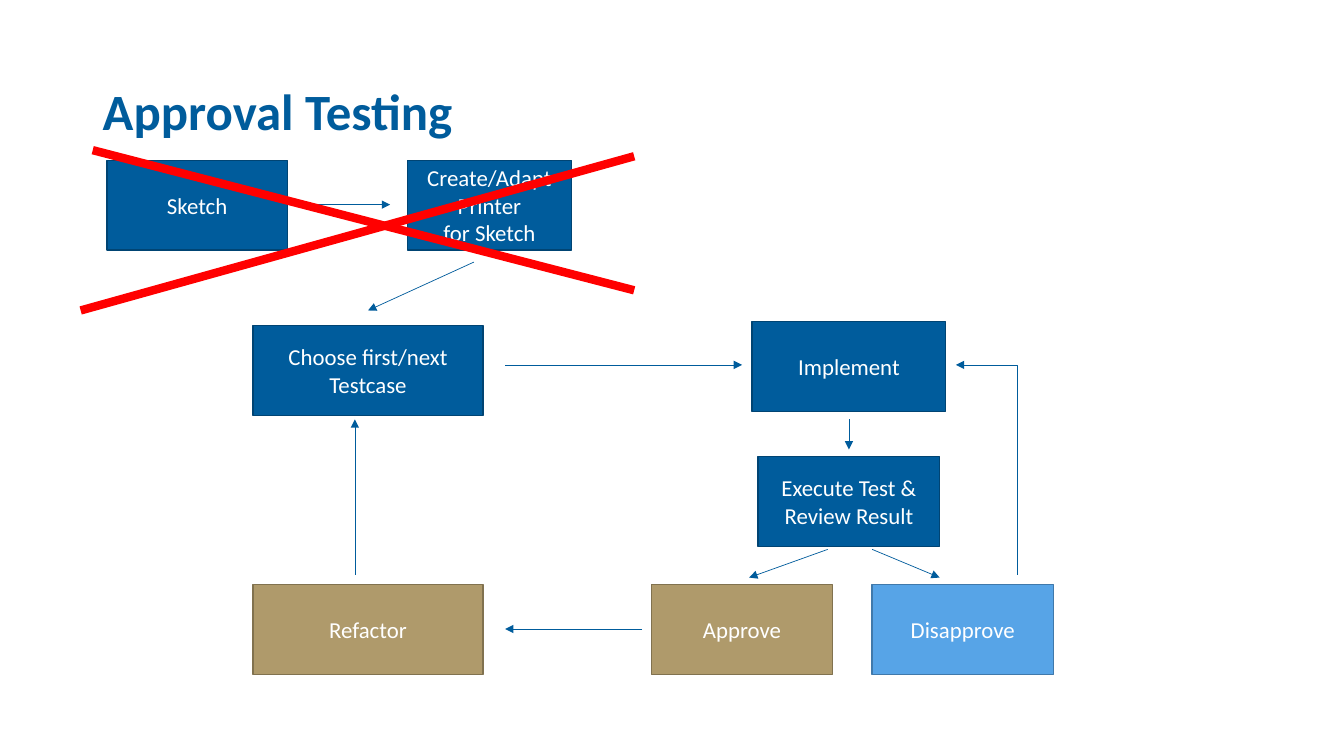
"""Build the Approval Testing workflow slide."""
from lxml import etree
from pptx import Presentation
from pptx.dml.color import RGBColor
from pptx.enum.shapes import MSO_CONNECTOR, MSO_SHAPE
from pptx.enum.text import MSO_ANCHOR, PP_ALIGN
from pptx.oxml.ns import qn
from pptx.util import Inches, Pt

RECTANGLE = MSO_SHAPE.RECTANGLE
STRAIGHT, ELBOW = MSO_CONNECTOR.STRAIGHT, MSO_CONNECTOR.ELBOW
MIDDLE, CENTER = MSO_ANCHOR.MIDDLE, PP_ALIGN.CENTER

FONT = "Calibri"
COLORS = {
    "blue": "005C9C", "blue edge": "004473",
    "sand": "AF9A6B", "sand edge": "81724F",
    "sky": "57A4E7", "sky edge": "4079AB",
    "white": "FFFFFF", "red": "FF0000",
}
TITLE = "Approval Testing"
STEP_HEIGHT = 0.89
SKETCH_TOP, RESULT_TOP = 1.59, 5.8
STEPS = [
    ("Sketch", 1.06, SKETCH_TOP, 1.79, "blue"),
    ("Create/Adapt Printer\nfor Sketch", 4.04, SKETCH_TOP, 1.63, "blue"),
    ("Choose first/next Testcase", 2.51, 3.23, 2.28, "blue"),
    ("Implement", 7.46, 3.19, 1.92, "blue"),
    ("Execute Test & Review Result", 7.52, 4.53, 1.8, "blue"),
    ("Refactor", 2.51, RESULT_TOP, 2.28, "sand"),
    ("Approve", 6.46, RESULT_TOP, 1.8, "sand"),
    ("Disapprove", 8.65, RESULT_TOP, 1.8, "sky"),
]
FLOWS = [
    ((3.05, 2.03), (3.87, 2.03)),
    ((4.7, 2.6), (3.65, 3.08)),
    ((5.01, 3.62), (7.36, 3.62)),
    ((8.42, 4.16), (8.42, 4.46)),
    ((8.21, 5.45), (7.43, 5.73)),
    ((8.65, 5.45), (9.32, 5.73)),
    ((6.37, 6.24), (5.01, 6.24)),
    ((3.52, 5.7), (3.52, 4.16)),
]
RETRY_FLOW = ((9.48, 3.62), (10.09, 5.7))
CROSS_OUT = [((0.8, 3.08), (6.29, 1.55)), ((0.92, 1.49), (6.29, 2.88))]


def color(name):
    return RGBColor.from_string(COLORS[name])


def style_text(paragraph, size, color_name, bold=False):
    for run in paragraph.runs:
        run.font.name, run.font.size, run.font.bold = FONT, Pt(size), bold
        run.font.color.rgb = color(color_name)


def add_step(slide, label, left, top, width, tone):
    step = slide.shapes.add_shape(RECTANGLE, Inches(left), Inches(top),
                                  Inches(width), Inches(STEP_HEIGHT))
    step.shadow.inherit = False
    step.fill.solid()
    step.fill.fore_color.rgb = color(tone)
    step.line.color.rgb = color(tone + " edge")
    step.line.width = Pt(1)
    frame = step.text_frame
    frame.text = label
    frame.word_wrap = True
    frame.vertical_anchor = MIDDLE
    for paragraph in frame.paragraphs:
        paragraph.alignment = CENTER
        style_text(paragraph, 16.3, "white")


def add_line(slide, start, end, tone="blue", width=0.5, arrow=None, kind=STRAIGHT):
    line = slide.shapes.add_connector(kind, *map(Inches, start + end))
    line.line.color.rgb = color(tone)
    line.line.width = Pt(width)
    properties = line._element.spPr
    etree.SubElement(properties, qn("a:effectLst"))
    if arrow:
        etree.SubElement(properties.find(qn("a:ln")), qn(arrow), type="triangle")
    return line


presentation = Presentation()
presentation.slide_width, presentation.slide_height = Inches(13.33), Inches(7.5)
slide = presentation.slides.add_slide(presentation.slide_layouts[6])

heading = slide.shapes.add_textbox(Inches(0.92), Inches(0.81), Inches(11.32), Inches(0.65))
heading.text_frame.word_wrap = True
heading.text_frame.text = TITLE
heading_line = heading.text_frame.paragraphs[0]
heading_line.line_spacing = 0.9
style_text(heading_line, 36.3, "blue", bold=True)

for step in STEPS:
    add_step(slide, *step)
for start, end in FLOWS:
    add_line(slide, start, end, arrow="a:tailEnd")

retry = add_line(slide, *RETRY_FLOW, arrow="a:headEnd", kind=ELBOW)
bend = retry._element.spPr.find(qn("a:prstGeom")).find(qn("a:avLst"))
etree.SubElement(bend, qn("a:gd"), name="adj1", fmla="val 100000")

for start, end in CROSS_OUT:
    add_line(slide, start, end, tone="red", width=6)

presentation.save("out.pptx")
